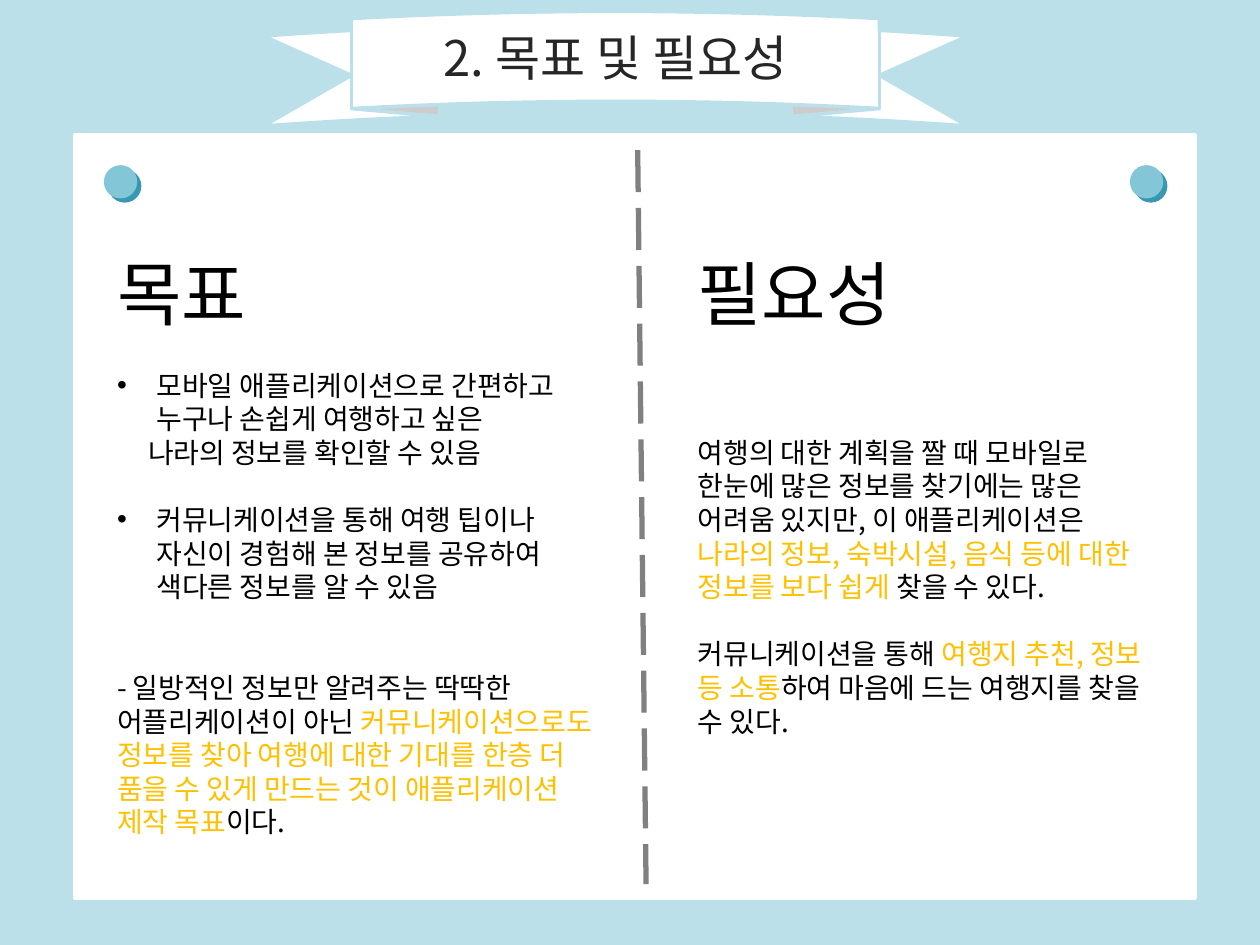
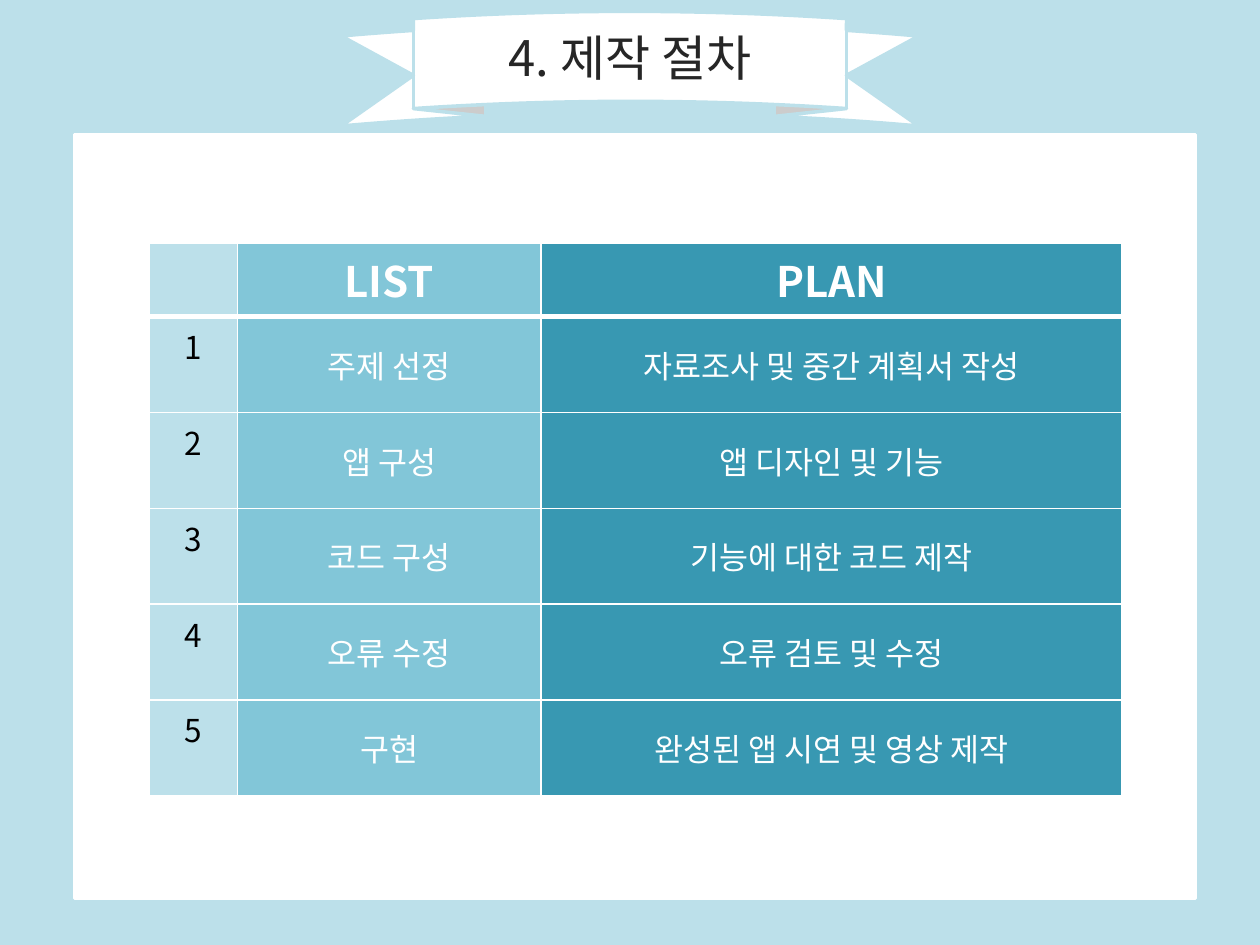
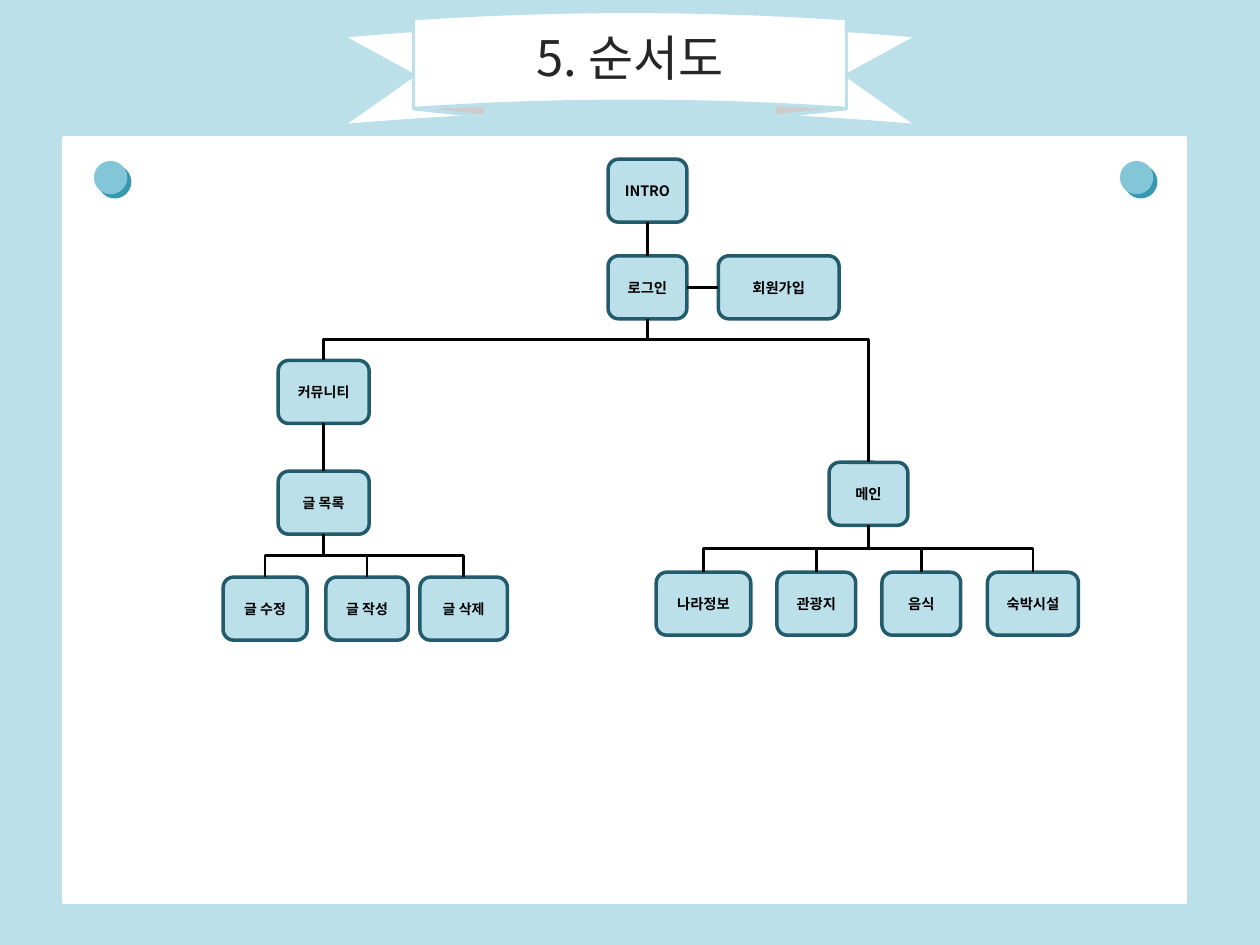
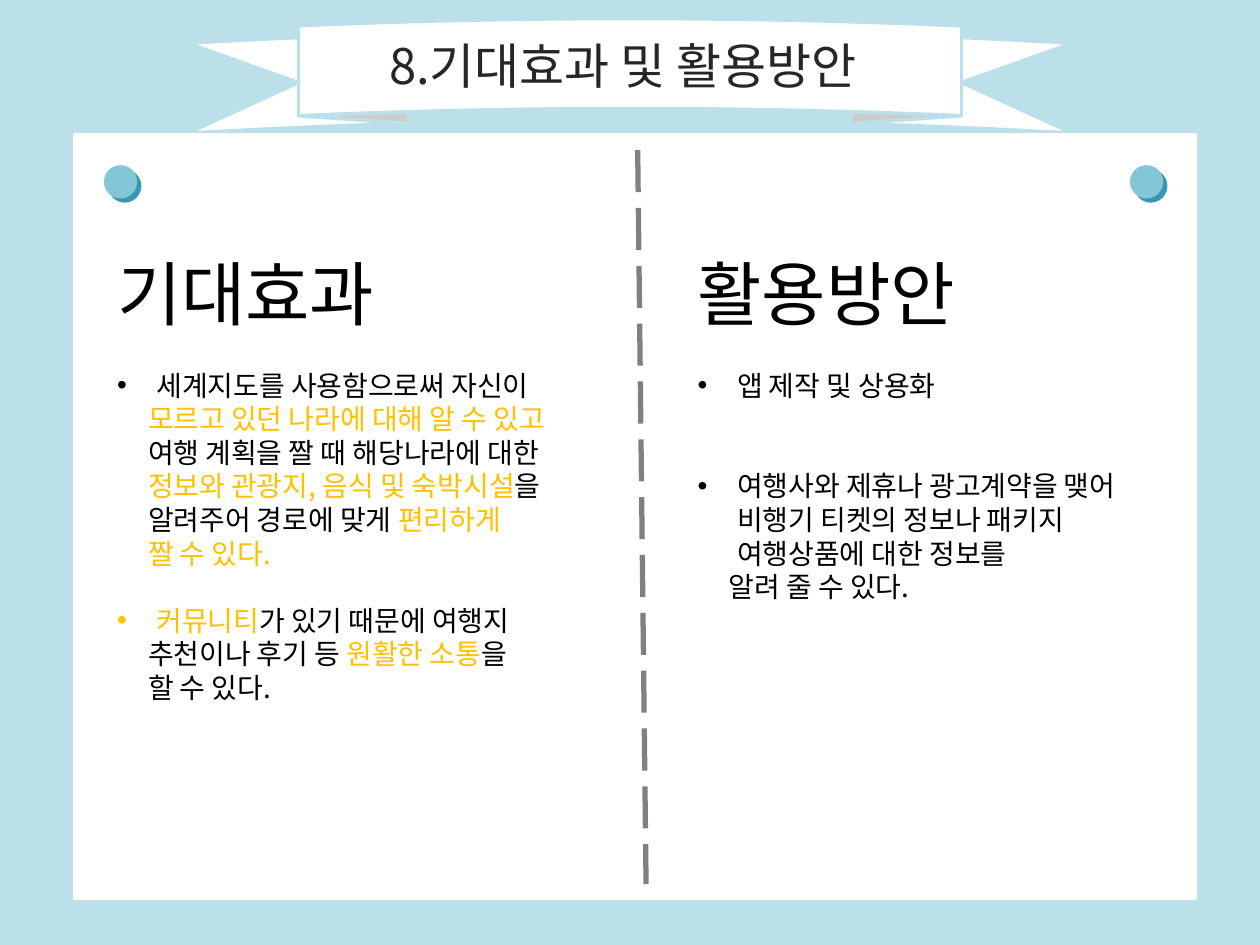
"""Build four slides of a travel app proposal with ribbon titles and white cards."""
from dataclasses import dataclass
from typing import NamedTuple

from lxml import etree
from pptx import Presentation
from pptx.dml.color import RGBColor
from pptx.enum.dml import MSO_LINE
from pptx.enum.shapes import MSO_CONNECTOR, MSO_SHAPE
from pptx.enum.text import MSO_ANCHOR, MSO_AUTO_SIZE, PP_ALIGN
from pptx.oxml.ns import qn
from pptx.util import Pt


@dataclass(frozen=True)
class Theme:
    font: str = "Noto Sans CJK KR"
    pale: str = "BCE0EA"
    light: str = "82C6D8"
    teal: str = "3898B2"
    deep: str = "225C6C"
    white: str = "FFFFFF"
    black: str = "000000"
    title_ink: str = "262626"
    accent: str = "FFC000"
    gray: str = "808080"
    title_size: float = 28
    heading_size: float = 40
    body_size: float = 16
    table_head_size: float = 24
    table_size: float = 18
    node_size: float = 8.2
    small_node_size: float = 8
    line_factor: float = 1.2


THEME = Theme()
LINE_HEIGHT = THEME.body_size * THEME.line_factor
TOP, LEFT, BOTTOM, RIGHT = range(4)


class Ribbon(NamedTuple):
    title: str
    left: float
    top: float
    width: float
    title_shift: float = 0


class Line(NamedTuple):
    """A paragraph; text between asterisks is accented, gap counts blank lines above."""
    text: str
    gap: int = 0
    bullet: bool = False
    indent: float = 0


class Column(NamedTuple):
    left: float
    width: float
    heading: str
    lines: list[Line]


class Node(NamedTuple):
    text: str
    left: float
    top: float
    width: float
    size: float = THEME.node_size


class Link(NamedTuple):
    parent: str
    child: str
    bend: float = 0.5


CARD_LEFT, CARD_TOP = 42.5, 77
CARD_WIDTH, CARD_HEIGHT = 640.8, 436.4
NODE_HEIGHT = 36
HANG = 22.5
CONTINUED = 17.7

GOAL_COLUMNS = [
    Column(59.8, 294.5, "목표", [
        Line("모바일 애플리케이션으로 간편하고 누구나 손쉽게 여행하고 싶은", 1, True),
        Line("나라의 정보를 확인할 수 있음", indent=CONTINUED),
        Line("커뮤니케이션을 통해 여행 팁이나 자신이 경험해 본 정보를 공유하여 "
             "색다른 정보를 알 수 있음", 1, True),
        Line("- 일방적인 정보만 알려주는 딱딱한 어플리케이션이 아닌 *커뮤니케이션으로도 "
             "정보를 찾아 여행에 대한 기대를 한층 더 품을 수 있게 만드는 것이 "
             "애플리케이션 제작 목표*이다.", 2),
    ]),
    Column(391.6, 273, "필요성", [
        Line("여행의 대한 계획을 짤 때 모바일로 한눈에 많은 정보를 찾기에는 많은 "
             "어려움 있지만, 이 애플리케이션은 *나라의 정보, 숙박시설, 음식 등에 "
             "대한 정보를 보다 쉽게* 찾을 수 있다.", 3),
        Line("커뮤니케이션을 통해 *여행지 추천, 정보 등 소통*하여 마음에 드는 "
             "여행지를 찾을 수 있다.", 1),
    ]),
]

EFFECT_COLUMNS = [
    Column(59.8, 294.5, "기대효과", [
        Line("세계지도를 사용함으로써 자신이", 1, True),
        Line("*모르고 있던 나라에 대해 알 수 있고*", indent=CONTINUED),
        Line("여행 계획을 짤 때 해당나라에 대한", indent=CONTINUED),
        Line("*정보와 관광지, 음식 및 숙박시설*을", indent=CONTINUED),
        Line("알려주어 경로에 맞게 *편리하게*", indent=CONTINUED),
        Line("*짤 수 있다.*", indent=CONTINUED),
        Line("*커뮤니티*가 있기 때문에 여행지", 1, True),
        Line("추천이나 후기 등 *원활한 소통*을", indent=CONTINUED),
        Line("할 수 있다.", indent=CONTINUED),
    ]),
    Column(391.6, 273, "활용방안", [
        Line("앱 제작 및 상용화", 1, True),
        Line("여행사와 제휴나 광고계약을 맺어 비행기 티켓의 정보나 패키지 "
             "여행상품에 대한 정보를", 2, True),
        Line("알려 줄 수 있다.", indent=CONTINUED),
    ]),
]

PLAN_ROWS = [
    ("", "LIST", "PLAN"),
    ("1", "주제 선정", "자료조사 및 중간 계획서 작성"),
    ("2", "앱 구성", "앱 디자인 및 기능"),
    ("3", "코드 구성", "기능에 대한 코드 제작"),
    ("4", "오류 수정", "오류 검토 및 수정"),
    ("5", "구현", "완성된 앱 시연 및 영상 제작"),
]
PLAN_WIDTHS = (50.4, 173.5, 331.9)
PLAN_HEAD_HEIGHT, PLAN_ROW_HEIGHT = 39.6, 54.8

SMALL = THEME.small_node_size
NODES = [
    Node("INTRO", 347.5, 91, 45),
    Node("로그인", 347.5, 146.2, 45),
    Node("회원가입", 410.5, 146.2, 69),
    Node("커뮤니티", 159, 206, 52, SMALL),
    Node("글 목록", 159, 269.3, 52, SMALL),
    Node("글 수정", 127.5, 329.8, 48, SMALL),
    Node("글 작성", 186.3, 329.8, 47, SMALL),
    Node("글 삭제", 240, 329.8, 50, SMALL),
    Node("메인", 473.8, 264.2, 45),
    Node("나라정보", 375, 327, 54),
    Node("관광지", 444, 327, 45),
    Node("음식", 504, 327, 45),
    Node("숙박시설", 564.3, 327, 52),
]
LINKS = [
    Link("INTRO", "로그인"),
    Link("로그인", "커뮤니티"),
    Link("로그인", "메인", 0.146),
    Link("커뮤니티", "글 목록"),
    *(Link("글 목록", child) for child in ("글 수정", "글 작성", "글 삭제")),
    *(Link("메인", child) for child in ("나라정보", "관광지", "음식", "숙박시설")),
]


def color(value: str) -> RGBColor:
    """Turn a hex string into a colour."""
    return RGBColor.from_string(value)


def style_run(run, size: float, ink: str, bold: bool = False) -> None:
    """Format one run."""
    run.font.name = THEME.font
    run.font.size = Pt(size)
    run.font.bold = bold
    run.font.color.rgb = color(ink)


def add_plain_shape(slide, kind, left: float, top: float, width: float, height: float,
                    fill: str, line: str):
    """Add a flat preset shape with a two-point outline."""
    shape = slide.shapes.add_shape(kind, Pt(left), Pt(top), Pt(width), Pt(height))
    shape.shadow.inherit = False
    shape.fill.solid()
    shape.fill.fore_color.rgb = color(fill)
    shape.line.color.rgb = color(line)
    shape.line.width = Pt(2)
    return shape


def add_line(slide, kind, start: tuple, end: tuple, ink: str, width: float):
    """Add a connector without a shadow."""
    connector = slide.shapes.add_connector(kind, *map(Pt, start), *map(Pt, end))
    connector.line.color.rgb = color(ink)
    connector.line.width = Pt(width)
    etree.SubElement(connector.element.spPr, qn("a:effectLst"))
    return connector


def add_card(slide, left: float = CARD_LEFT, top: float = CARD_TOP) -> None:
    """Add the white card."""
    add_plain_shape(slide, MSO_SHAPE.RECTANGLE, left, top, CARD_WIDTH, CARD_HEIGHT,
                    THEME.white, THEME.white)


def add_pins(slide, left: float, top: float) -> None:
    """Add the two pins in the upper corners of the card."""
    for pin_left in (left, left + 586.3):
        for offset, ink in ((2.4, THEME.teal), (0, THEME.light)):
            add_plain_shape(slide, MSO_SHAPE.OVAL, pin_left + offset, top + offset,
                            17, 17, ink, ink)


def add_ribbon(slide, ribbon: Ribbon) -> None:
    """Draw the ribbon and lay the slide title over its band."""
    shape = add_plain_shape(slide, MSO_SHAPE.CURVED_UP_RIBBON, ribbon.left, ribbon.top,
                            ribbon.width, 65.5, THEME.white, THEME.pale)
    for index, value in enumerate((0.215, 1, 0.112)):
        shape.adjustments[index] = value
    title = slide.shapes.title
    title.left = Pt(ribbon.left + ribbon.width / 8 + ribbon.title_shift)
    title.top = Pt(ribbon.top + 5.8)
    title.width, title.height = Pt(ribbon.width * 0.75), Pt(41)
    frame = title.text_frame
    frame.text = ribbon.title
    frame.auto_size = MSO_AUTO_SIZE.NONE
    frame.vertical_anchor = MSO_ANCHOR.TOP
    frame.paragraphs[0].alignment = PP_ALIGN.CENTER
    style_run(frame.paragraphs[0].runs[0], THEME.title_size, THEME.title_ink)
    shape.element.addnext(title.element)


def add_slide(presentation, ribbon: Ribbon):
    """Add a title-only slide with its ribbon."""
    slide = presentation.slides.add_slide(presentation.slide_layouts[5])
    add_ribbon(slide, ribbon)
    return slide


def write_line(paragraph, line: Line) -> None:
    """Fill a body paragraph, accenting the marked words."""
    properties = paragraph._p.get_or_add_pPr()
    margin = HANG if line.bullet else line.indent
    properties.set("marL", str(Pt(margin)))
    properties.set("indent", str(Pt(-HANG if line.bullet else 0)))
    if line.bullet:
        etree.SubElement(properties, qn("a:buFont"), typeface="Arial")
        etree.SubElement(properties, qn("a:buChar"), char="•")
    paragraph.line_spacing = Pt(LINE_HEIGHT)
    paragraph.space_before = Pt(line.gap * LINE_HEIGHT)
    for index, piece in enumerate(line.text.split("*")):
        if piece:
            run = paragraph.add_run()
            run.text = piece
            style_run(run, THEME.body_size, THEME.accent if index % 2 else THEME.black)


def add_column(slide, column: Column) -> None:
    """Add a heading with its paragraphs."""
    box = slide.shapes.add_textbox(Pt(column.left), Pt(139.7), Pt(column.width), Pt(346))
    frame = box.text_frame
    frame.word_wrap = True
    frame.text = column.heading
    heading = frame.paragraphs[0]
    heading.line_spacing = Pt(THEME.heading_size * THEME.line_factor)
    style_run(heading.runs[0], THEME.heading_size, THEME.black)
    for line in column.lines:
        write_line(frame.add_paragraph(), line)


def build_two_columns(presentation, ribbon: Ribbon, columns: list[Column]) -> None:
    """Build a pinned card split by a dashed line."""
    slide = add_slide(presentation, ribbon)
    add_card(slide)
    add_pins(slide, 60.4, 95.4)
    for column in columns:
        add_column(slide, column)
    divider = add_line(slide, MSO_CONNECTOR.STRAIGHT, (364.4, 85.8), (369.2, 505.2),
                       THEME.gray, 3)
    divider.line.dash_style = MSO_LINE.LONG_DASH


def add_borders(cell_properties, bottom: float) -> None:
    """Give a cell white borders."""
    sides = (("a:lnL", 1), ("a:lnR", 1), ("a:lnT", 1), ("a:lnB", bottom))
    for index, (tag, width) in enumerate(sides):
        border = etree.Element(qn(tag), w=str(Pt(width)))
        fill = etree.SubElement(border, qn("a:solidFill"))
        etree.SubElement(fill, qn("a:srgbClr"), val=THEME.white)
        cell_properties.insert(index, border)


def build_plan(presentation, ribbon: Ribbon) -> None:
    """Build the table of work steps."""
    slide = add_slide(presentation, ribbon)
    add_card(slide)
    height = PLAN_HEAD_HEIGHT + PLAN_ROW_HEIGHT * (len(PLAN_ROWS) - 1)
    graphic = slide.shapes.add_table(len(PLAN_ROWS), len(PLAN_WIDTHS), Pt(85.3), Pt(138.8),
                                     Pt(sum(PLAN_WIDTHS)), Pt(height))
    table = graphic.table
    table.first_row = table.horz_banding = False
    for column, width in zip(table.columns, PLAN_WIDTHS):
        column.width = Pt(width)
    fills = (THEME.pale, THEME.light, THEME.teal)
    for row_index, texts in enumerate(PLAN_ROWS):
        is_head = row_index == 0
        table.rows[row_index].height = Pt(PLAN_HEAD_HEIGHT if is_head else PLAN_ROW_HEIGHT)
        for column_index, text in enumerate(texts):
            cell = table.cell(row_index, column_index)
            cell.fill.solid()
            cell.fill.fore_color.rgb = color(fills[column_index])
            is_top = is_head or column_index == 0
            cell.vertical_anchor = MSO_ANCHOR.TOP if is_top else MSO_ANCHOR.MIDDLE
            cell.text_frame.text = text
            paragraph = cell.text_frame.paragraphs[0]
            paragraph.alignment = PP_ALIGN.CENTER
            for run in paragraph.runs:
                style_run(run, THEME.table_head_size if is_head else THEME.table_size,
                          THEME.white if column_index else THEME.black, is_head)
    for index, cell_properties in enumerate(graphic.element.iter(qn("a:tcPr"))):
        add_borders(cell_properties, 3 if index < len(PLAN_WIDTHS) else 1)


def add_node(slide, node: Node):
    """Add one step of the flow chart."""
    shape = add_plain_shape(slide, MSO_SHAPE.ROUNDED_RECTANGLE, node.left, node.top,
                            node.width, NODE_HEIGHT, THEME.pale, THEME.deep)
    frame = shape.text_frame
    frame.margin_left = frame.margin_right = 0
    frame.vertical_anchor = MSO_ANCHOR.MIDDLE
    frame.text = node.text
    frame.paragraphs[0].alignment = PP_ALIGN.CENTER
    style_run(frame.paragraphs[0].runs[0], node.size, THEME.black, True)
    return shape


def turn_elbow(connector, start: tuple, end: tuple, bend: float) -> None:
    """Turn an elbow so that it leaves its parent downwards."""
    across, down = end[0] - start[0], end[1] - start[1]
    connector.left = Pt((start[0] + end[0] - down) / 2)
    connector.top = Pt((start[1] + end[1] - abs(across)) / 2)
    connector.width, connector.height = Pt(down), Pt(abs(across))
    transform = connector.element.spPr.find(qn("a:xfrm"))
    transform.attrib.pop("flipH", None)
    transform.attrib.pop("flipV", None)
    transform.set("rot", str((270 if across > 0 else 90) * 60000))
    if across > 0:
        transform.set("flipH", "1")
    guides = connector.element.spPr.find(qn("a:prstGeom")).find(qn("a:avLst"))
    etree.SubElement(guides, qn("a:gd"), name="adj1", fmla=f"val {round(bend * 100000)}")


def add_link(slide, link: Link, nodes: dict, shapes: dict) -> None:
    """Join the bottom of a parent to the top of its child."""
    parent, child = nodes[link.parent], nodes[link.child]
    start = (parent.left + parent.width / 2, parent.top + NODE_HEIGHT)
    end = (child.left + child.width / 2, child.top)
    is_straight = start[0] == end[0]
    kind = MSO_CONNECTOR.STRAIGHT if is_straight else MSO_CONNECTOR.ELBOW
    connector = add_line(slide, kind, start, end, THEME.black, 1.5)
    connector.begin_connect(shapes[link.parent], BOTTOM)
    connector.end_connect(shapes[link.child], TOP)
    if not is_straight:
        turn_elbow(connector, start, end, link.bend)


def build_flow(presentation, ribbon: Ribbon) -> None:
    """Build the flow chart of the app screens."""
    slide = add_slide(presentation, ribbon)
    add_card(slide, 36.5, 79)
    add_pins(slide, 54.7, 93)
    nodes = {node.text: node for node in NODES}
    shapes = {node.text: add_node(slide, node) for node in NODES}
    for link in LINKS:
        add_link(slide, link, nodes, shapes)
    login, join = nodes["로그인"], nodes["회원가입"]
    middle = login.top + NODE_HEIGHT / 2
    connector = add_line(slide, MSO_CONNECTOR.STRAIGHT, (login.left + login.width, middle),
                         (join.left, middle), THEME.black, 1.5)
    connector.begin_connect(shapes[login.text], RIGHT)
    connector.end_connect(shapes[join.text], LEFT)


def set_east_asian_font(slide) -> None:
    """Use the theme font for Hangul as well."""
    for latin in list(slide.element.iter(qn("a:latin"))):
        latin.addnext(etree.Element(qn("a:ea"), typeface=THEME.font))


def main() -> None:
    """Build and save the presentation."""
    presentation = Presentation()
    presentation.slide_width, presentation.slide_height = Pt(720), Pt(540)
    background = presentation.slide_master.background.fill
    background.solid()
    background.fore_color.rgb = color(THEME.pale)
    build_two_columns(presentation, Ribbon("2. 목표 및 필요성", 150.5, 6.5, 402.4),
                      GOAL_COLUMNS)
    build_plan(presentation, Ribbon("4. 제작 절차", 195, 6.5, 330))
    build_flow(presentation, Ribbon("5. 순서도", 195, 6.5, 330))
    build_two_columns(presentation, Ribbon("8.기대효과 및 활용방안", 107.3, 10.6, 505.4, -4),
                      EFFECT_COLUMNS)
    for slide in presentation.slides:
        set_east_asian_font(slide)
    presentation.save("out.pptx")


if __name__ == "__main__":
    main()
